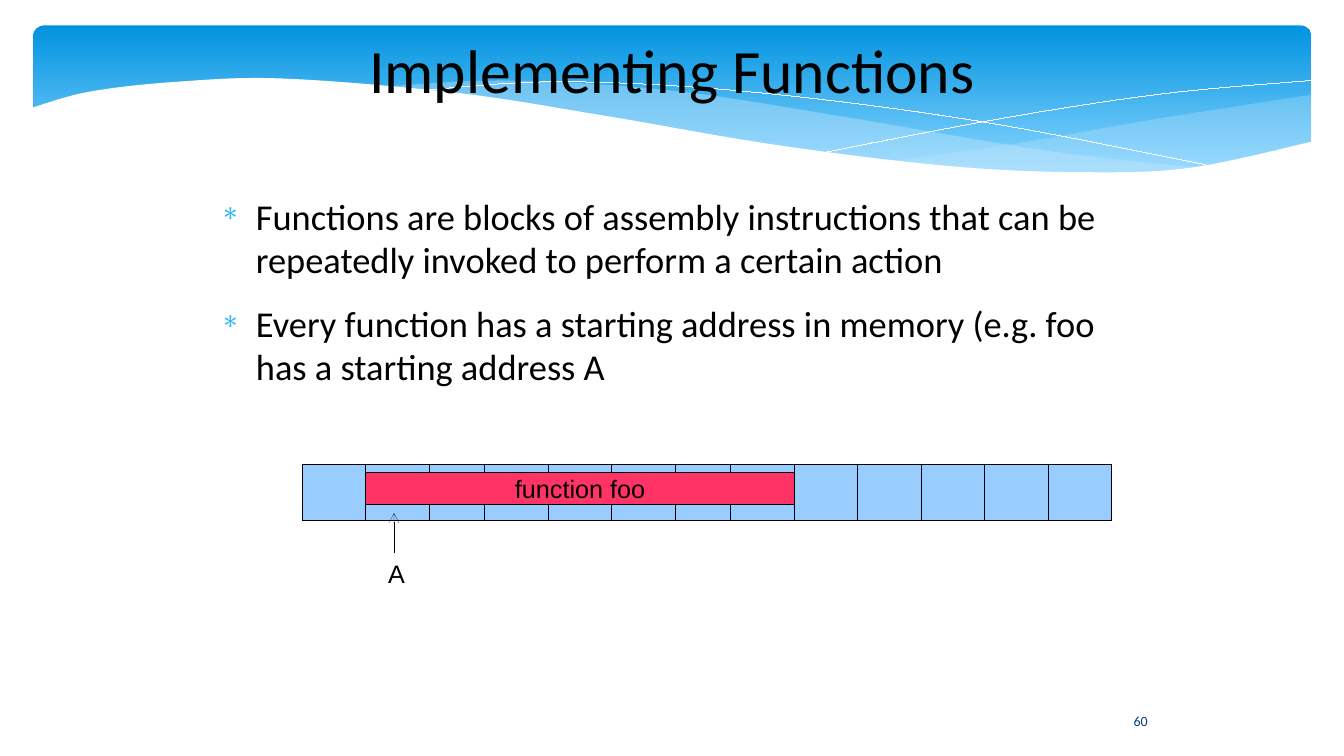
from lxml import etree
from pptx import Presentation
from pptx.dml.color import RGBColor
from pptx.enum.shapes import MSO_CONNECTOR, MSO_SHAPE
from pptx.enum.text import MSO_ANCHOR, MSO_AUTO_SIZE, PP_ALIGN
from pptx.oxml.ns import qn
from pptx.util import Cm, Pt

RECT, ROUND = MSO_SHAPE.RECTANGLE, MSO_SHAPE.ROUNDED_RECTANGLE
STRAIGHT = MSO_CONNECTOR.STRAIGHT
TOP, MIDDLE = MSO_ANCHOR.TOP, MSO_ANCHOR.MIDDLE
LEFT, CENTER = PP_ALIGN.LEFT, PP_ALIGN.CENTER
NO_FIT = MSO_AUTO_SIZE.NONE

RIGHT_CREST = [(33.05, 2.39), (29.13, 3), (25.53, 3.63), (22.4, 4.06)]
RIGHT_TROUGH = [(22.4, 4.06), (25.22, 4.29), (28.27, 4.37), (30.66, 4.14),
                (33.05, 3.61)]
MIDDLE_CREST = [(30.23, 4.24), (26.26, 3.78), (21.31, 2.95), (16.99, 2.29),
                (12.85, 2.03), (9.7, 2.18)]
MIDDLE_TROUGH = [(9.7, 2.18), (15.21, 2.95), (20.37, 3.81), (24.46, 4.27),
                 (27.69, 4.39), (30.23, 4.24)]
FALLING_LINE = [(10.46, 2.29), (14.1, 2.06), (18.85, 2.31), (24.64, 3.05),
                (30.73, 4.22)]
RISING_LINE = [(20.78, 3.84), (25.32, 2.97), (29.34, 2.36), (33.02, 2.03)]
PAGE_EDGE = [(33.1, 3.56), (30.05, 4.22), (27.38, 4.34), (23.98, 4.19),
             (19.61, 3.66), (15.14, 2.9), (11.51, 2.34), (7.16, 1.98),
             (4.47, 2.06), (2.26, 2.31), (0.79, 2.72)]
PAGE_CORNERS = [(0.79, 5.69), (33.1, 5.69)]

BULLETS = [
    "Functions are blocks of assembly instructions that can be repeatedly "
    "invoked to perform a certain action",
    "Every function has a starting address in memory (e.g. foo has a starting "
    "address A"]

MEMORY_LEFT, MEMORY_TOP, MEMORY_WIDTH = 7.62, 11.71, 20.4
CELL_WIDTH, CELL_HEIGHT = 1.6, 1.4
CELL_GAPS = [1.6, 1.4, 1.6, 1.4, 1.6, 1.6]
FOO_LEFT = MEMORY_LEFT + CELL_WIDTH
POINTER_X, POINTER_TIP, POINTER_TAIL = 9.93, 12.93, 13.94


def color(value):
    return RGBColor.from_string(value)


def spline(knots, steps=12):
    padded = [knots[0], *knots, knots[-1]]
    points = [knots[0]]
    for before, start, end, after in zip(
            padded, padded[1:], padded[2:], padded[3:]):
        for step in range(1, steps + 1):
            t = step / steps
            points.append(tuple(
                b + (c - a) * t / 2
                + (2 * a - 5 * b + 4 * c - d) * t ** 2 / 2
                + (3 * b - a - 3 * c + d) * t ** 3 / 2
                for a, b, c, d in zip(before, start, end, after)))
    return points


def write(p, text, font="Calibri", size=18, fill="000000", align=LEFT):
    p.alignment = align
    r = p.add_run()
    r.text = text
    r.font.name = font
    r.font.size = Pt(size)
    r.font.color.rgb = color(fill)


class Deck:
    blue, pink, black, white = "99CCFF", "FF3366", "000000", "FFFFFF"
    mist, accent, navy = "C6E7FC", "31B6FD", "073E87"
    banner_top, banner_bottom = "0293E0", "83D3FE"

    def __init__(self):
        self.prs = Presentation()
        self.prs.slide_width, self.prs.slide_height = Cm(33.87), Cm(19.05)
        self.s = self.prs.slides.add_slide(self.prs.slide_layouts[5])

    def hairline(self, sp, line):
        sp.element.remove(sp.element.find(qn("p:style")))
        sp.line.color.rgb = color(line)
        sp.line.width = Pt(0)

    def paint(self, sp, fill=None, line=None, alpha=None):
        sp.shadow.inherit = False
        if fill:
            sp.fill.solid()
            sp.fill.fore_color.rgb = color(fill)
        else:
            sp.fill.background()
        if alpha:
            rgb = sp.element.spPr.find(qn("a:solidFill"))[0]
            etree.SubElement(rgb, qn("a:alpha"), val=str(alpha * 1000))
        if line:
            self.hairline(sp, line)
        else:
            sp.line.fill.background()

    def frame(self, sp, anchor=TOP, inset=(0, 0), wrap=True):
        tf = sp.text_frame
        tf.auto_size = NO_FIT
        tf.word_wrap = wrap
        tf.vertical_anchor = anchor
        tf.margin_left = tf.margin_right = Cm(inset[0])
        tf.margin_top = tf.margin_bottom = Cm(inset[1])
        return tf

    def banner(self, x, y, w, h):
        sp = self.s.shapes.add_shape(ROUND, Cm(x), Cm(y), Cm(w), Cm(h))
        self.paint(sp)
        sp.adjustments[0] = 0.07
        sp.fill.gradient()
        sp.fill.gradient_angle = 270
        top, bottom = sp.fill.gradient_stops
        top.position, bottom.position = 0, 0.9
        top.color.rgb = color(self.banner_top)
        bottom.color.rgb = color(self.banner_bottom)

    def outline(self, points, closed=True, **look):
        start, *rest = [(Cm(x), Cm(y)) for x, y in points]
        builder = self.s.shapes.build_freeform(*start)
        builder.add_line_segments(rest, close=closed)
        self.paint(builder.convert_to_shape(), **look)

    def box(self, x, y, w, h, fill):
        sp = self.s.shapes.add_shape(RECT, Cm(x), Cm(y), Cm(w), Cm(h))
        self.paint(sp, fill=fill, line=self.black)
        return sp

    def text(self, x, y, w, h, **layout):
        sp = self.s.shapes.add_textbox(Cm(x), Cm(y), Cm(w), Cm(h))
        return self.frame(sp, **layout)

    def title(self, text, x, y, w, h):
        sp = self.s.shapes.title
        sp.left, sp.top, sp.width, sp.height = Cm(x), Cm(y), Cm(w), Cm(h)
        tf = self.frame(sp, anchor=MIDDLE)
        write(tf.paragraphs[0], text, size=44, align=CENTER)
        self.s.shapes.element.append(sp.element)

    def bullets(self, items, x, y, w, h):
        tf = self.text(x, y, w, h)
        for i, item in enumerate(items):
            p = tf.add_paragraph() if i else tf.paragraphs[0]
            write(p, item, size=26)
            p.space_after = Pt(14.1)
            pPr = p._p.get_or_add_pPr()
            pPr.set("marL", str(Cm(1.19)))
            pPr.set("indent", str(Cm(-0.89)))
            buClr = etree.SubElement(pPr, qn("a:buClr"))
            etree.SubElement(buClr, qn("a:srgbClr"), val=self.accent)
            etree.SubElement(pPr, qn("a:buSzPct"), val="75000")
            etree.SubElement(pPr, qn("a:buChar"), char="∗")

    def arrow(self, x1, y1, x2, y2):
        line = self.s.shapes.add_connector(
            STRAIGHT, Cm(x1), Cm(y1), Cm(x2), Cm(y2))
        self.hairline(line, self.black)
        ln = line.element.spPr.find(qn("a:ln"))
        etree.SubElement(ln, qn("a:tailEnd"), type="arrow")
        etree.SubElement(line.element.spPr, qn("a:effectLst"))


def draw_header(d):
    d.banner(0.84, 0.64, 32.21, 3.96)
    for crest, trough, alpha in ((RIGHT_CREST, RIGHT_TROUGH, 29),
                                 (MIDDLE_CREST, MIDDLE_TROUGH, 40)):
        d.outline(spline(crest) + spline(trough)[1:], fill=d.mist, alpha=alpha)
    for knots in (FALLING_LINE, RISING_LINE):
        d.outline(spline(knots), closed=False, line=d.white)
    d.outline(spline(PAGE_EDGE) + PAGE_CORNERS, fill=d.white)


def draw_memory(d):
    d.box(MEMORY_LEFT, MEMORY_TOP, MEMORY_WIDTH, CELL_HEIGHT, d.blue)
    x = MEMORY_LEFT
    for gap in CELL_GAPS:
        x += gap
        d.box(x, MEMORY_TOP, CELL_WIDTH, CELL_HEIGHT, d.blue)
        x += CELL_WIDTH
    foo = d.box(FOO_LEFT, 11.91, 10.8, 0.81, d.pink)
    tf = d.frame(foo, anchor=MIDDLE, inset=(0.25, 0.13), wrap=False)
    write(tf.paragraphs[0], "function foo", font="Arial", align=CENTER)
    tf = d.text(9.53, POINTER_TAIL, 0.94, 0.99, inset=(0.25, 0.13), wrap=False)
    write(tf.paragraphs[0], "A", font="Arial")
    d.arrow(POINTER_X, POINTER_TAIL, POINTER_X, POINTER_TIP)


def main():
    d = Deck()
    draw_header(d)
    number = d.text(27.97, 17.65, 1.55, 1.02, anchor=MIDDLE)
    write(number.paragraphs[0], "60", size=10, fill=d.navy, align=CENTER)
    d.title("Implementing Functions", 4.88, 0.43, 24.13, 2.59)
    d.bullets(BULLETS, 5.26, 4.88, 23.52, 6.91)
    draw_memory(d)
    d.prs.save("out.pptx")


if __name__ == "__main__":
    main()
